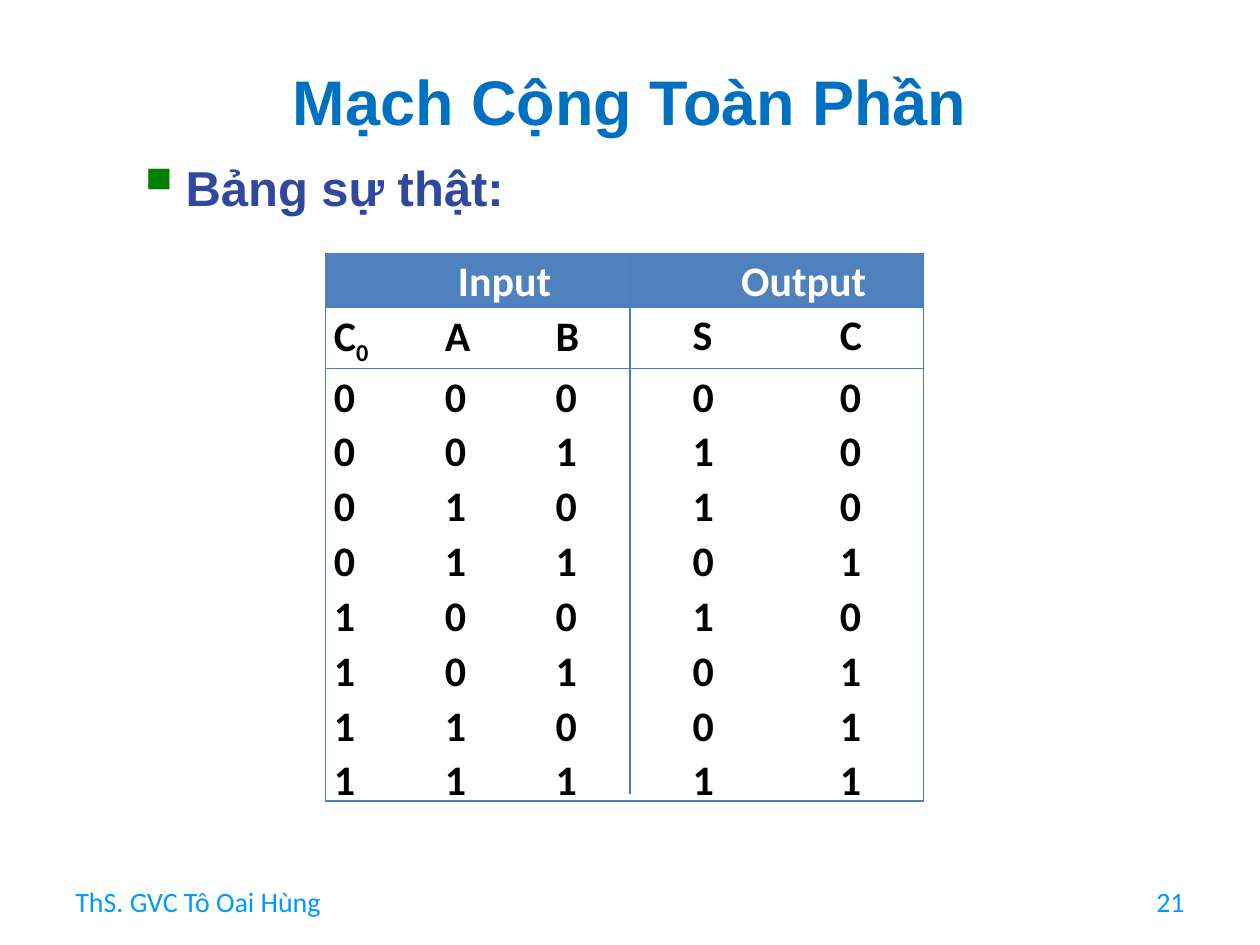
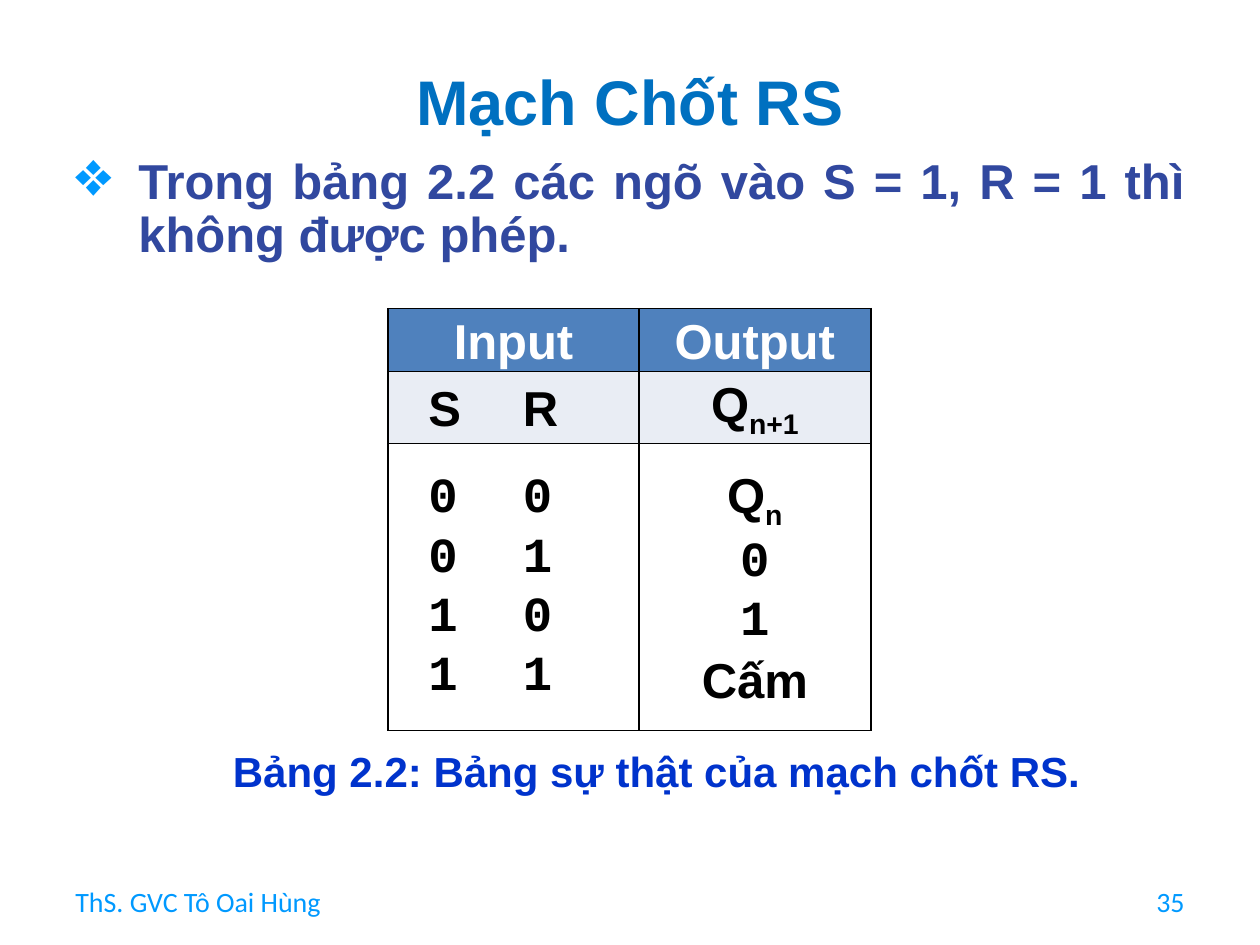
from dataclasses import dataclass

from lxml import etree
from pptx import Presentation
from pptx.dml.color import RGBColor
from pptx.enum import shapes, text
from pptx.oxml import ns
from pptx.util import Pt

ALIGN = text.PP_ALIGN
ANCHOR = text.MSO_ANCHOR


@dataclass(frozen=True)
class Theme:
    title: str = "0070C0"
    body: str = "31489F"
    accent: str = "0099FF"
    square: str = "008000"
    caption: str = "0033CC"
    header: str = "4F81BD"
    subheader: str = "E9EDF4"
    rule: str = "4B7EBC"
    dark: str = "000000"
    light: str = "FFFFFF"
    sans: str = "Arial"
    plain: str = "Calibri"
    mono: str = "Courier New"
    title_size: int = 36
    body_size: int = 28
    small_table_size: int = 24
    footer_size: int = 16


THEME = Theme()
TITLE_BOX = (36, 28.8, 648, 57.6)
BODY_BOX = (36, 86.4, 648, 417.6)
FOOTER_BOX = (36, 500.4, 648, 28.8)


def add_node(parent, tag, **attributes):
    return etree.SubElement(parent, ns.qn(tag), attributes)


def write_text(paragraph, content, size, font, color, bold=True, align=None,
               line_spacing=None, before=None, after=None, tabs=()):
    paragraph.alignment = align
    paragraph.line_spacing = line_spacing
    if before is not None:
        paragraph.space_before = Pt(before)
    if after is not None:
        paragraph.space_after = Pt(after)
    if tabs:
        tab_list = add_node(paragraph._p.get_or_add_pPr(), "a:tabLst")
        for position in tabs:
            add_node(tab_list, "a:tab", pos=str(Pt(position)), algn="l")
    for index, part in enumerate(content.split("_")):
        if not part:
            continue
        run = paragraph.add_run()
        run.text = part
        run.font.size = Pt(size)
        run.font.name = font
        run.font.bold = bold
        run.font.color.rgb = RGBColor.from_string(color)
        if index % 2:
            run._r.get_or_add_rPr().set("baseline", "-25000")


def add_text(slide, box, content, anchor=ANCHOR.TOP, wrap=True, **style):
    shape = slide.shapes.add_textbox(*map(Pt, box))
    frame = shape.text_frame
    frame.word_wrap = wrap
    frame.vertical_anchor = anchor
    write_text(frame.paragraphs[0], content, **style)
    return frame.paragraphs[0]


def add_bullet(slide, box, content, character, color, margin, indent, **style):
    paragraph = add_text(slide, box, content, size=THEME.body_size, font=THEME.sans,
                         color=THEME.body, align=ALIGN.JUSTIFY, **style)
    properties = paragraph._p.get_or_add_pPr()
    properties.set("marL", str(Pt(margin)))
    properties.set("indent", str(Pt(-indent)))
    add_node(add_node(properties, "a:buClr"), "a:srgbClr", val=color)
    add_node(properties, "a:buSzPct", val="130000")
    add_node(properties, "a:buChar", char=character)


def add_frame(slide, title, number):
    add_text(slide, TITLE_BOX, title, anchor=ANCHOR.MIDDLE, size=THEME.title_size,
             font=THEME.sans, color=THEME.title, align=ALIGN.CENTER)
    left, top, width, height = FOOTER_BOX
    part = 168
    for x, content, align in ((left, "ThS. GVC Tô Oai Hùng", ALIGN.LEFT),
                              (left + width - part, number, ALIGN.RIGHT)):
        add_text(slide, (x, top, part, height), content, anchor=ANCHOR.MIDDLE,
                 size=THEME.footer_size, font=THEME.plain, color=THEME.accent,
                 bold=False, align=align)


def set_borders(cell, sides, color, width):
    properties = cell._tc.get_or_add_tcPr()
    for side in "LRTB":
        line = add_node(properties, f"a:ln{side}", w=str(Pt(width)))
        if side in sides:
            add_node(add_node(line, "a:solidFill"), "a:srgbClr", val=color)
        else:
            add_node(line, "a:noFill")


def add_logic_table(slide, box, widths, heights, rows, tabs, fills, sides, border,
                    size, font, digit_font, anchor, aligns):
    table = slide.shapes.add_table(len(rows), len(widths), *map(Pt, box)).table
    for column, width in zip(table.columns, widths):
        column.width = Pt(width)
    for row, height in zip(table.rows, heights):
        row.height = Pt(height)
    for r, contents in enumerate(rows):
        for c, lines in enumerate(contents):
            cell = table.cell(r, c)
            cell.margin_left = cell.margin_right = Pt(5)
            cell.margin_top = cell.margin_bottom = 0
            cell.vertical_anchor = anchor
            set_borders(cell, sides[c], *border)
            if fills[r]:
                cell.fill.solid()
                cell.fill.fore_color.rgb = RGBColor.from_string(fills[r])
            else:
                cell.fill.background()
            for i, content in enumerate(lines):
                frame = cell.text_frame
                paragraph = frame.add_paragraph() if i else frame.paragraphs[0]
                is_number = content.replace("\t", "").isdigit()
                write_text(paragraph, content, size=size,
                           font=digit_font if is_number else font,
                           color=THEME.dark if r else THEME.light,
                           align=aligns[c] if r else ALIGN.CENTER,
                           line_spacing=1.07, tabs=tabs[c] if r else ())


def add_divider(slide, x, top, bottom):
    line = slide.shapes.add_connector(shapes.MSO_CONNECTOR.STRAIGHT,
                                      Pt(x), Pt(top), Pt(x), Pt(bottom))
    line.line.color.rgb = RGBColor.from_string(THEME.rule)
    line.line.width = Pt(1.5)
    add_node(line._element.spPr, "a:effectLst")


def build_full_adder(slide):
    add_frame(slide, "Mạch Cộng Toàn Phần", "21")
    add_bullet(slide, BODY_BOX, "Bảng sự thật:", "▪", THEME.square, 63, 28.8)
    states = [(n >> 2, n >> 1 & 1, n & 1) for n in range(8)]
    inputs = ["\t".join(map(str, state)) for state in states]
    outputs = [f"{sum(state) % 2}\t{sum(state) // 2}" for state in states]
    box = left, top, width, height = (185.8, 144.8, 342, 309)
    add_logic_table(
        slide, box, widths=(205, 137), heights=(29.5, 29.5, 247),
        rows=((["Input"], ["Output"]), (["C_0_\tA\tB"], ["S\tC"]), (inputs, outputs)),
        tabs=((63.4, 126.7), (84.2,)), fills=(THEME.header, None, None),
        sides=("LTB", "RTB"), border=(THEME.rule, 0.75), size=THEME.small_table_size,
        font=THEME.plain, digit_font=THEME.plain, anchor=ANCHOR.TOP,
        aligns=(ALIGN.JUSTIFY, ALIGN.JUSTIFY))
    add_divider(slide, left + 174.2, top, top + height)


def build_rs_latch(slide):
    add_frame(slide, "Mạch Chốt RS", "35")
    add_bullet(slide, BODY_BOX,
               "Trong bảng 2.2 các ngõ vào S = 1, R = 1 thì không được phép.",
               "❖", THEME.accent, 36, 36, line_spacing=0.9, after=12)
    inputs = [f"\t{s}\t{r}" for s in (0, 1) for r in (0, 1)]
    add_logic_table(
        slide, (221.8, 176.4, 275.8, 237.6), widths=(143.3, 132.5),
        heights=(33.5, 40.3, 164.2),
        rows=((["Input"], ["Output"]), (["\tS\tR"], ["Q_n+1"]),
              (inputs, ["Q_n", "0", "1", "Cấm"])),
        tabs=((18, 72), ()), fills=(THEME.header, THEME.subheader, THEME.light),
        sides=("LRTB", "LRTB"), border=(THEME.dark, 1), size=THEME.body_size,
        font=THEME.sans, digit_font=THEME.mono, anchor=ANCHOR.MIDDLE,
        aligns=(ALIGN.LEFT, ALIGN.CENTER))
    add_text(slide, (126, 425.5, 503.3, 33), "Bảng 2.2: Bảng sự thật của mạch chốt RS.",
             wrap=False, size=THEME.small_table_size, font=THEME.sans,
             color=THEME.caption, line_spacing=0.9, before=6)


def main():
    presentation = Presentation()
    presentation.slide_width = Pt(720)
    presentation.slide_height = Pt(540)
    for build in (build_full_adder, build_rs_latch):
        build(presentation.slides.add_slide(presentation.slide_layouts[6]))
    presentation.save("out.pptx")


if __name__ == "__main__":
    main()
